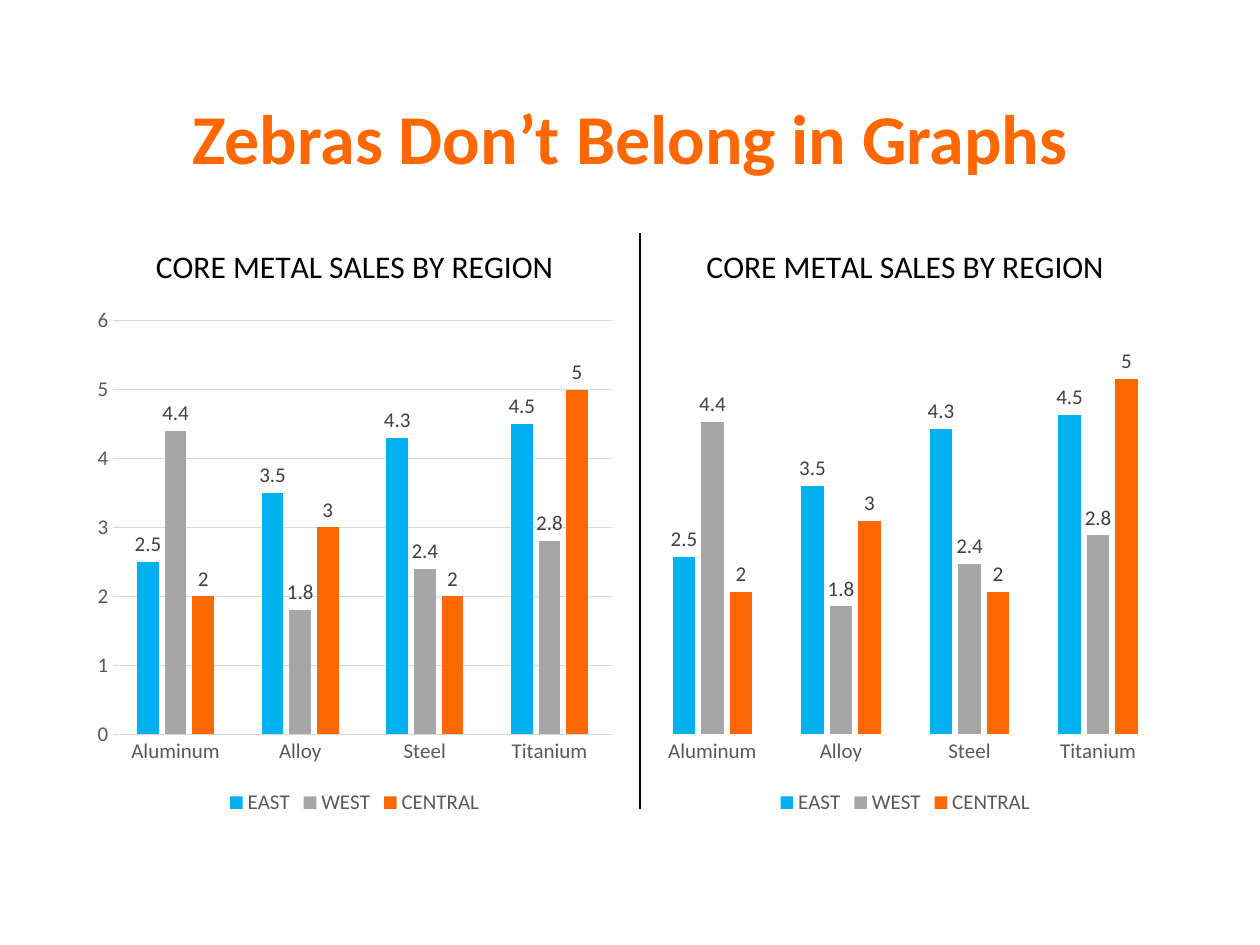
import pptx
import pptx.chart.data
import pptx.dml.color
import pptx.enum.chart
import pptx.enum.shapes
import pptx.enum.text
import pptx.oxml.ns
import pptx.util
from lxml import etree

Inches = pptx.util.Inches
Pt = pptx.util.Pt
FONT = "Calibri"
METALS = ["Aluminum", "Alloy", "Steel", "Titanium"]
SALES = [
    ("EAST", "00B0F0", [2.5, 3.5, 4.3, 4.5]),
    ("WEST", "A6A6A6", [4.4, 1.8, 2.4, 2.8]),
    ("CENTRAL", "FF6700", [2, 3, 2, 5]),
]


def color(code):
    return pptx.dml.color.RGBColor.from_string(code)


class Deck:
    """Holds the style and the current slide."""

    def __init__(self):
        self.file = pptx.Presentation()
        self.file.slide_width = Inches(10)
        self.file.slide_height = Inches(7.5)
        self.slide = self.file.slides.add_slide(self.file.slide_layouts[6])

    def style(self, font, size, code, bold=False):
        font.name = FONT
        font.size = Pt(size)
        font.bold = bold
        font.color.rgb = color(code)

    def stroke(self, line, code, width):
        line.color.rgb = color(code)
        line.width = Pt(width)

    def title(self, text, left, top, width, height):
        box = self.slide.shapes.add_textbox(
            Inches(left), Inches(top), Inches(width), Inches(height))
        frame = box.text_frame
        frame.word_wrap = True
        frame.vertical_anchor = pptx.enum.text.MSO_ANCHOR.MIDDLE
        para = frame.paragraphs[0]
        para.text = text
        para.alignment = pptx.enum.text.PP_ALIGN.CENTER
        para.line_spacing = 0.9
        self.style(para.font, 40, "FF6700", True)

    def rule(self, x, top, end):
        line = self.slide.shapes.add_connector(
            pptx.enum.shapes.MSO_CONNECTOR.STRAIGHT,
            Inches(x), Inches(top), Inches(x), Inches(end))
        self.stroke(line.line, "000000", 1)
        etree.SubElement(line._element.spPr, pptx.oxml.ns.qn("a:effectLst"))

    def chart(self, text, left, top, width, height, grid):
        data = pptx.chart.data.CategoryChartData()
        data.categories = METALS
        for name, code, vals in SALES:
            data.add_series(name, vals)
        chart = self.slide.shapes.add_chart(
            pptx.enum.chart.XL_CHART_TYPE.COLUMN_CLUSTERED,
            Inches(left), Inches(top), Inches(width), Inches(height), data).chart
        self.style(chart.font, 10, "000000")
        chart.has_title = True
        para = chart.chart_title.text_frame.paragraphs[0]
        para.text = text
        self.style(para.font, 18, "000000")
        chart.chart_title.include_in_layout = False
        chart.has_legend = True
        chart.legend.position = pptx.enum.chart.XL_LEGEND_POSITION.BOTTOM
        chart.legend.include_in_layout = False
        self.style(chart.legend.font, 12, "595959")
        self.bars(chart.plots[0])
        self.axes(chart, grid)

    def bars(self, plot):
        plot.gap_width = 219
        plot.overlap = -27
        plot.vary_by_categories = False
        for series, (name, code, vals) in zip(plot.series, SALES):
            series.format.fill.solid()
            series.format.fill.fore_color.rgb = color(code)
            labels = series.data_labels
            labels.show_value = True
            labels.position = pptx.enum.chart.XL_LABEL_POSITION.OUTSIDE_END
            self.style(labels.font, 12, "404040")

    def axes(self, chart, grid):
        cats, vals = chart.category_axis, chart.value_axis
        for axis in (cats, vals):
            axis.major_tick_mark = pptx.enum.chart.XL_TICK_MARK.NONE
            axis.minor_tick_mark = pptx.enum.chart.XL_TICK_MARK.NONE
            self.style(axis.tick_labels.font, 12, "595959")
            axis.format.line.fill.background()
        vals.minimum_scale = 0
        vals.maximum_scale = 6
        vals.major_unit = 1
        vals.has_major_gridlines = grid
        vals.visible = grid
        if grid:
            self.stroke(cats.format.line, "D9D9D9", 0.75)
            self.stroke(vals.major_gridlines.format.line, "D9D9D9", 0.75)


def main():
    deck = Deck()
    deck.title("Zebras Don’t Belong in Graphs", 0.69, 0.4, 8.62, 1.45)
    for left, grid in ((0.69, True), (5.06, False)):
        deck.chart("CORE METAL SALES BY REGION", left, 1.75, 4.25, 4.76, grid)
    deck.rule(5.08, 1.85, 6.42)
    deck.file.save("out.pptx")


if __name__ == "__main__":
    main()
